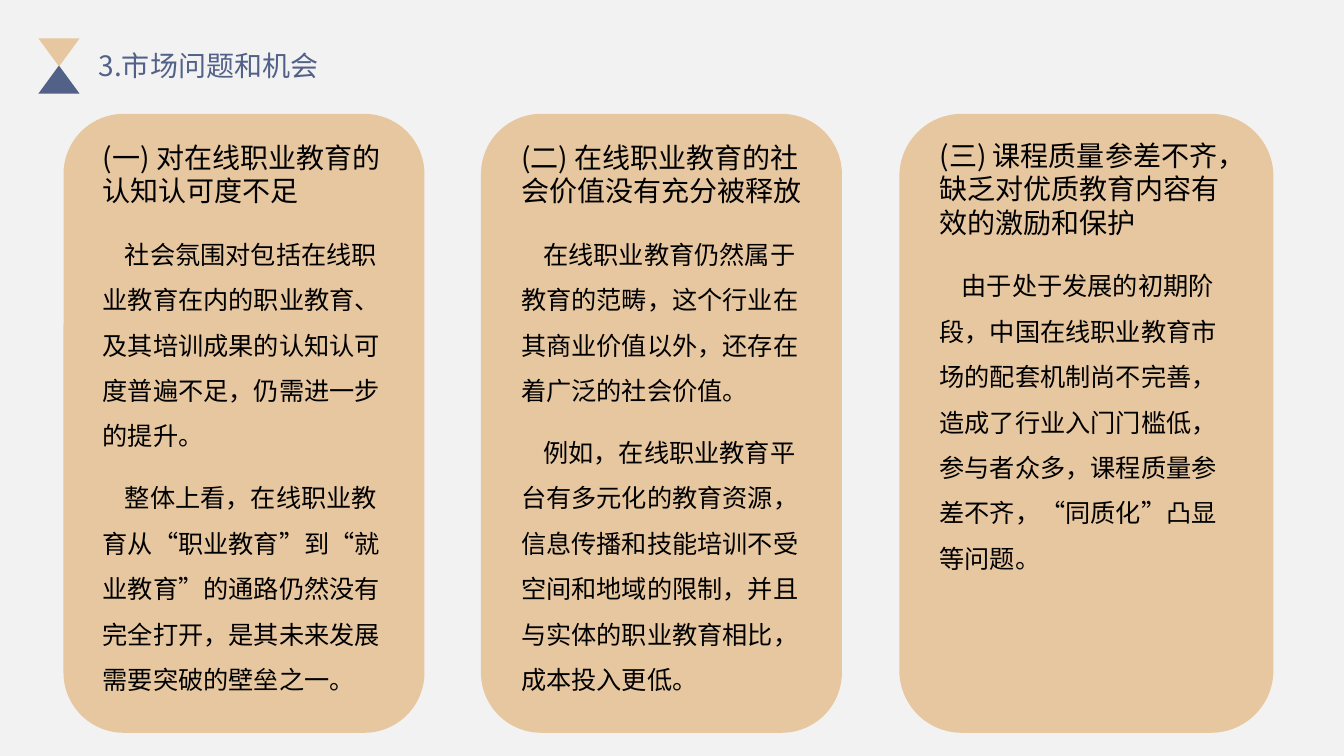
from lxml import etree
from pptx import Presentation
from pptx import util as u
from pptx.dml.color import RGBColor
from pptx.enum import shapes, text
from pptx.oxml import ns

PAPER = RGBColor(0xF2, 0xF2, 0xF2)
SAND = RGBColor(0xE7, 0xC7, 0xA0)
NAVY = RGBColor(0x52, 0x61, 0x88)
BLACK = RGBColor(0, 0, 0)
NOTO = "Noto Sans CJK SC"

COLUMNS = [
    (0.63, 3.58, 0.92, 1.34, 5.65, NOTO, "(一) 对在线职业教育的认知认可度不足", [
        "社会氛围对包括在线职业教育在内的职业教育、及其培训成果的认知认可度普遍不足，仍需进一步的提升。",
        "整体上看，在线职业教育从“职业教育”到“就业教育”的通路仍然没有完全打开，是其未来发展需要突破的壁垒之一。",
    ]),
    (4.77, 3.58, 5.07, 1.34, 5.65, "Arial", "(二) 在线职业教育的社会价值没有充分被释放", [
        "在线职业教育仍然属于教育的范畴，这个行业在其商业价值以外，还存在着广泛的社会价值。",
        "例如，在线职业教育平台有多元化的教育资源，信息传播和技能培训不受空间和地域的限制，并且与实体的职业教育相比，成本投入更低。",
    ]),
    (8.92, 3.71, 9.22, 1.32, 4.91, NOTO, "(三) 课程质量参差不齐，缺乏对优质教育内容有效的激励和保护", [
        "由于处于发展的初期阶段，中国在线职业教育市场的配套机制尚不完善，造成了行业入门门槛低，参与者众多，课程质量参差不齐，“同质化”凸显等问题。",
    ]),
]


class Deck:
    """Hold the style and the current slide, and add elements to it."""

    def __init__(self):
        self.show = Presentation()
        self.show.slide_width = u.Inches(13.33)
        self.show.slide_height = u.Inches(7.5)
        self.slide = self.show.slides.add_slide(self.show.slide_layouts[6])
        fill = self.slide.background.fill
        fill.solid()
        fill.fore_color.rgb = PAPER

    def shape(self, kind, box, color, turn=0):
        item = self.slide.shapes.add_shape(kind, *map(u.Inches, box))
        item.shadow.inherit = False
        item.fill.solid()
        item.fill.fore_color.rgb = color
        item.line.fill.background()
        item.rotation = turn

    def box(self, box):
        frame = self.slide.shapes.add_textbox(*map(u.Inches, box)).text_frame
        frame.word_wrap = True
        frame.auto_size = text.MSO_AUTO_SIZE.SHAPE_TO_FIT_TEXT
        return frame

    def style(self, para, words, size, pitch, color=BLACK, face=NOTO, after=0, indent=0):
        para.text = words
        para.line_spacing = u.Pt(pitch)
        para.space_after = u.Pt(after)
        if indent:
            para._p.get_or_add_pPr().set("indent", str(u.Inches(indent)))
        for run in para.runs:
            run.font.size = u.Pt(size)
            run.font.name = face
            run.font.color.rgb = color
            east = etree.SubElement(run.font._element, ns.qn("a:ea"))
            east.set("typeface", NOTO)

    def head(self, words):
        kind = shapes.MSO_SHAPE.ISOSCELES_TRIANGLE
        self.shape(kind, (0.38, 0.65, 0.41, 0.28), NAVY)
        self.shape(kind, (0.38, 0.38, 0.41, 0.28), SAND, 180)
        frame = self.box((0.88, 0.43, 4.56, 0.44))
        self.style(frame.paragraphs[0], words, 20, 24, NAVY)

    def card(self, left, width, inset, top, height, face, title, body):
        self.shape(shapes.MSO_SHAPE.ROUNDED_RECTANGLE, (left, 1.13, width, 6.14), SAND)
        frame = self.box((inset, top, 3.12, height))
        self.style(frame.paragraphs[0], title, 20, 24, after=12)
        for words in body:
            self.style(frame.add_paragraph(), words, 18, 32.4, face=face, after=12, indent=0.22)


def main():
    deck = Deck()
    deck.head("3.市场问题和机会")
    for column in COLUMNS:
        deck.card(*column)
    deck.show.save("out.pptx")


if __name__ == "__main__":
    main()
